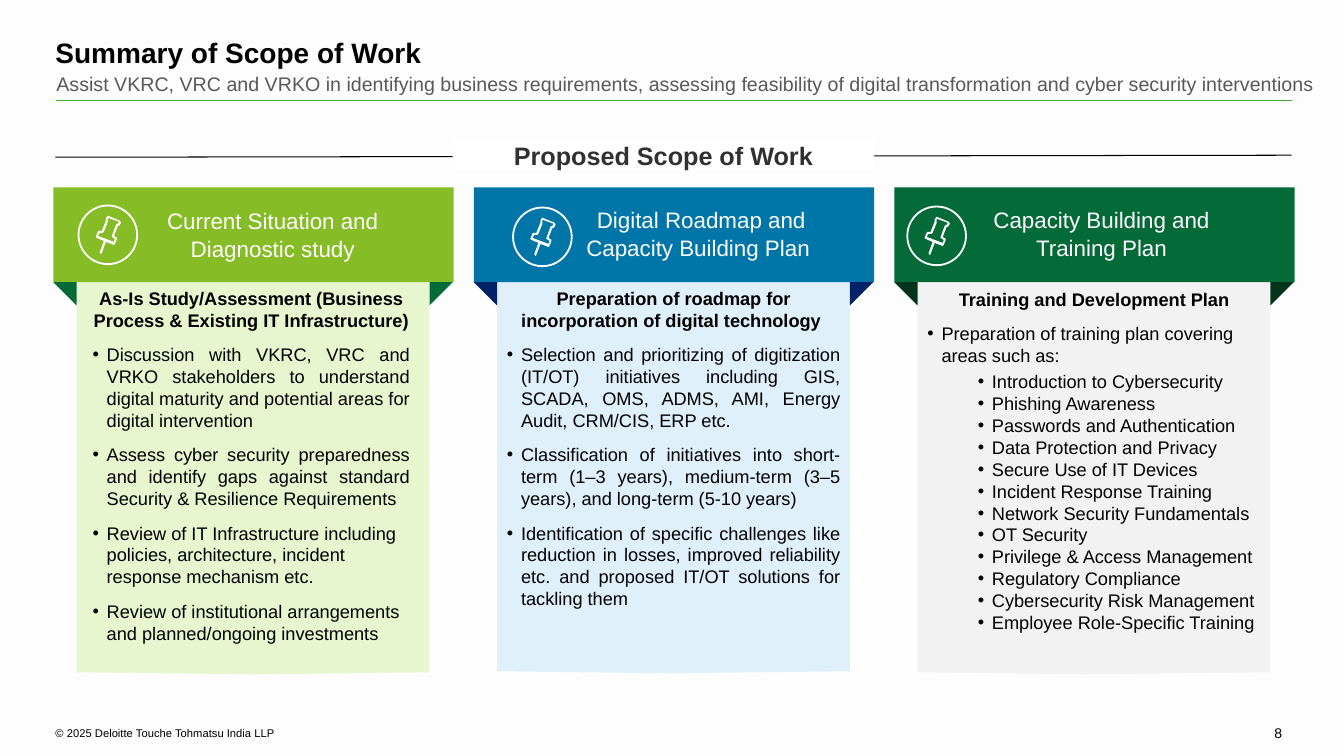
from lxml.etree import SubElement
from pptx import Presentation
from pptx.dml.color import RGBColor
from pptx.enum.shapes import MSO_CONNECTOR, MSO_SHAPE
from pptx.enum.text import MSO_ANCHOR, PP_ALIGN
from pptx.oxml.ns import qn
from pptx.util import Pt

PX = 9144  # 100 px to the inch
LEFT, CENTER, JUSTIFY = PP_ALIGN.LEFT, PP_ALIGN.CENTER, PP_ALIGN.JUSTIFY
BLACK = RGBColor(0x00, 0x00, 0x00)
WHITE = RGBColor(0xFF, 0xFF, 0xFF)
BACKDROP = RGBColor(0xFD, 0xFD, 0xFD)
GRAY = RGBColor(0x59, 0x59, 0x59)
CHARCOAL = RGBColor(0x31, 0x31, 0x31)
RULE_GREEN = RGBColor(0x43, 0xB0, 0x2A)
LIME = RGBColor(0x86, 0xBC, 0x25)
PALE_LIME = RGBColor(0xE8, 0xF6, 0xCF)
BLUE = RGBColor(0x00, 0x76, 0xA8)
PALE_BLUE = RGBColor(0xE0, 0xF0, 0xFA)
NAVY = RGBColor(0x01, 0x21, 0x69)
GREEN = RGBColor(0x04, 0x6A, 0x38)
DARK_GREEN = RGBColor(0x02, 0x35, 0x1C)
PALE_GRAY = RGBColor(0xF2, 0xF2, 0xF2)

prs = Presentation()
prs.slide_width, prs.slide_height = 1333 * PX, 750 * PX
slide = prs.slides.add_slide(prs.slide_layouts[6])
slide.background.fill.solid()
slide.background.fill.fore_color.rgb = BACKDROP
shapes = slide.shapes


def paint(shape, color):
    shape.shadow.inherit = False
    shape.fill.solid()
    shape.fill.fore_color.rgb = color
    shape.line.fill.background()


def write(box, paragraphs, size, color, inset=(0, 0), anchor=MSO_ANCHOR.TOP, wrap=True,
          spacing=1.0):
    """Fill a box with (text, alignment, bold, bullet indent, before, after)."""
    frame = box.text_frame
    frame.word_wrap = wrap
    frame.vertical_anchor = anchor
    frame.margin_left = frame.margin_right = inset[0] * PX
    frame.margin_top = frame.margin_bottom = inset[1] * PX
    for i, (text, align, bold, indent, before, after) in enumerate(paragraphs):
        para = frame.add_paragraph() if i else frame.paragraphs[0]
        para.alignment = align
        para.line_spacing = spacing
        para.space_before = Pt(before if i else 0)
        para.space_after = Pt(after)
        if indent:
            props = para._p.get_or_add_pPr()
            props.set("marL", str(indent * PX))
            props.set("indent", str(-14 * PX))
            SubElement(props, qn("a:buFont")).set("typeface", "Arial")
            SubElement(props, qn("a:buChar")).set("char", "•")
        run = para.add_run()
        run.text = text
        run.font.name, run.font.size, run.font.bold = "Arial", Pt(size), bold
        run.font.color.rgb = color


# Title, subtitle, footer and page number
for text, (x, y, w, h), size, color, bold, align, anchor, wrap in [
    ("Summary of Scope of Work", (55, 35, 1224, 37), 20, BLACK, True, LEFT, MSO_ANCHOR.TOP, True),
    ("Assist VKRC, VRC and VRKO in identifying business requirements, assessing feasibility "
     "of digital transformation and cyber security interventions",
     (56, 71, 1253, 31), 14, GRAY, False, JUSTIFY, MSO_ANCHOR.TOP, True),
    ("© 2025 Deloitte Touche Tohmatsu India LLP",
     (55, 721, 586, 13), 8, BLACK, False, LEFT, MSO_ANCHOR.MIDDLE, True),
    ("8", (1264, 719, 17, 17), 10, BLACK, False, LEFT, MSO_ANCHOR.TOP, False),
]:
    box = shapes.add_textbox(x * PX, y * PX, w * PX, h * PX)
    write(box, [(text, align, bold, 0, 0, 0)], size, color, anchor=anchor, wrap=wrap)

# Title rule and section rule
for x1, y1, x2, y2, color, weight in [(56, 100, 1281, 100, RULE_GREEN, 1),
                                      (55, 156, 1281, 154, BLACK, 0.75)]:
    rule = shapes.add_connector(MSO_CONNECTOR.STRAIGHT, x1 * PX, y1 * PX, x2 * PX, y2 * PX)
    rule.line.color.rgb, rule.line.width = color, Pt(weight)
    SubElement(rule._element.spPr, qn("a:effectLst"))

# Section label
section = shapes.add_shape(MSO_SHAPE.RECTANGLE, 449 * PX, 139 * PX, 418 * PX, 30 * PX)
paint(section, WHITE)
write(section, [("Proposed Scope of Work", CENTER, True, 0, 0, 0)], 18, CHARCOAL,
      anchor=MSO_ANCHOR.MIDDLE)

# Pushpin contours, measured from the corner of its ring
PIN_OUTER = [(42, 16), (30, 11), (29, 12), (28, 14), (28, 16), (24, 26), (21, 26), (20, 27),
             (18, 32), (19, 33), (26, 36), (22, 47), (23, 49), (24, 48), (28, 37), (36, 40),
             (37, 39), (39, 34), (39, 33), (36, 31), (40, 21), (41, 21), (42, 20), (43, 18)]
PIN_INNER = [(40, 19), (39, 19), (38, 20), (34, 31), (34, 32), (37, 34), (36, 37), (20, 31),
             (22, 28), (25, 28), (26, 27), (30, 17), (30, 14), (30, 13), (41, 17)]

# Columns: heading, heading box, colours, tip of panel, icon corner, body box, body
columns = [
    ("Current Situation and Diagnostic study", (114, 199, 313, 65),
     LIME, PALE_LIME, GREEN, (257, 669), (77, 203), (82, 280, 334, 367),
     "As-Is Study/Assessment (Business Process & Existing IT Infrastructure)",
     [("Discussion with VKRC, VRC and VRKO stakeholders to understand digital maturity and "
       "potential areas for digital intervention", JUSTIFY),
      ("Assess cyber security preparedness and identify gaps against standard Security & "
       "Resilience Requirements", JUSTIFY),
      ("Review of IT Infrastructure including policies, architecture, incident response "
       "mechanism etc.", LEFT),
      ("Review of institutional arrangements and planned/ongoing investments", LEFT)], []),
    ("Digital Roadmap and Capacity Building Plan ", (559, 198, 273, 64),
     BLUE, PALE_BLUE, NAVY, (664, 668), (508, 205), (493, 280, 350, 332),
     "Preparation of roadmap for incorporation of digital technology ",
     [("Selection and prioritizing of digitization (IT/OT) initiatives including GIS, SCADA, "
       "OMS, ADMS, AMI, Energy Audit, CRM/CIS, ERP etc.", JUSTIFY),
      ("Classification of initiatives into short-term (1–3 years), medium-term (3–5 years), "
       "and long-term (5-10 years)", JUSTIFY),
      ("Identification of specific challenges like reduction in losses, improved reliability "
       "etc. and proposed IT/OT solutions for tackling them", JUSTIFY)], []),
    ("Capacity Building and Training Plan", (942, 198, 301, 65),
     GREEN, PALE_GRAY, DARK_GREEN, (1076, 669), (899, 204), (910, 281, 350, 355),
     "Training and Development Plan",
     [("Preparation of training plan covering areas such as:", LEFT)],
     ["Introduction to Cybersecurity", "Phishing Awareness", "Passwords and Authentication",
      "Data Protection and Privacy", "Secure Use of IT Devices", "Incident Response Training",
      "Network Security Fundamentals", "OT Security", "Privilege & Access Management",
      "Regulatory Compliance", "Cybersecurity Risk Management",
      "Employee Role-Specific Training"]),
]
for i, (heading, heading_box, strong, pale, dark, tip, icon, body_box,
        lead, points, topics) in enumerate(columns):
    banner_x = 53 + 417 * i
    panel_x, panel_right = banner_x + 23, banner_x + 373

    # Panel with a slightly pointed foot
    outline = shapes.build_freeform(panel_x, 188, scale=PX)
    outline.add_line_segments([(panel_right, 188), (panel_right, tip[1] - 2), tip,
                               (panel_x, tip[1] - 2)])
    paint(outline.convert_to_shape(), pale)

    # Banner and its folded corners
    banner = shapes.add_shape(MSO_SHAPE.RECTANGLE, banner_x * PX, 186 * PX, 397 * PX, 94 * PX)
    paint(banner, strong)
    for fold_x, turn in [(panel_right, 90), (banner_x, 180)]:
        fold = shapes.add_shape(MSO_SHAPE.RIGHT_TRIANGLE, fold_x * PX, 280 * PX, 23 * PX, 23 * PX)
        fold.rotation = turn
        paint(fold, dark)

    # Heading and body text
    title = shapes.add_textbox(*[v * PX for v in heading_box])
    write(title, [(heading, CENTER, False, 0, 0, 0)], 16, WHITE, inset=(10, 5), spacing=1.06)
    body = shapes.add_textbox(*[v * PX for v in body_box])
    write(body, [(lead, CENTER, True, 0, 0, 3)]
          + [(text, align, False, 14, 6, 3) for text, align in points]
          + [(text, JUSTIFY, False, 64, 0, 0) for text in topics], 13, BLACK, inset=(10, 5))

    # Pushpin in a ring
    ring = shapes.add_shape(MSO_SHAPE.DONUT, icon[0] * PX, icon[1] * PX, 60 * PX, 60 * PX)
    ring.adjustments[0] = 0.03
    paint(ring, WHITE)
    outer, inner = [[(icon[0] + x, icon[1] + y) for x, y in contour]
                    for contour in (PIN_OUTER, PIN_INNER)]
    pin = shapes.build_freeform(*outer[0], scale=PX)
    pin.add_line_segments(outer[1:])
    pin.move_to(*inner[0])
    pin.add_line_segments(inner[1:])
    paint(pin.convert_to_shape(), WHITE)

prs.save("out.pptx")
